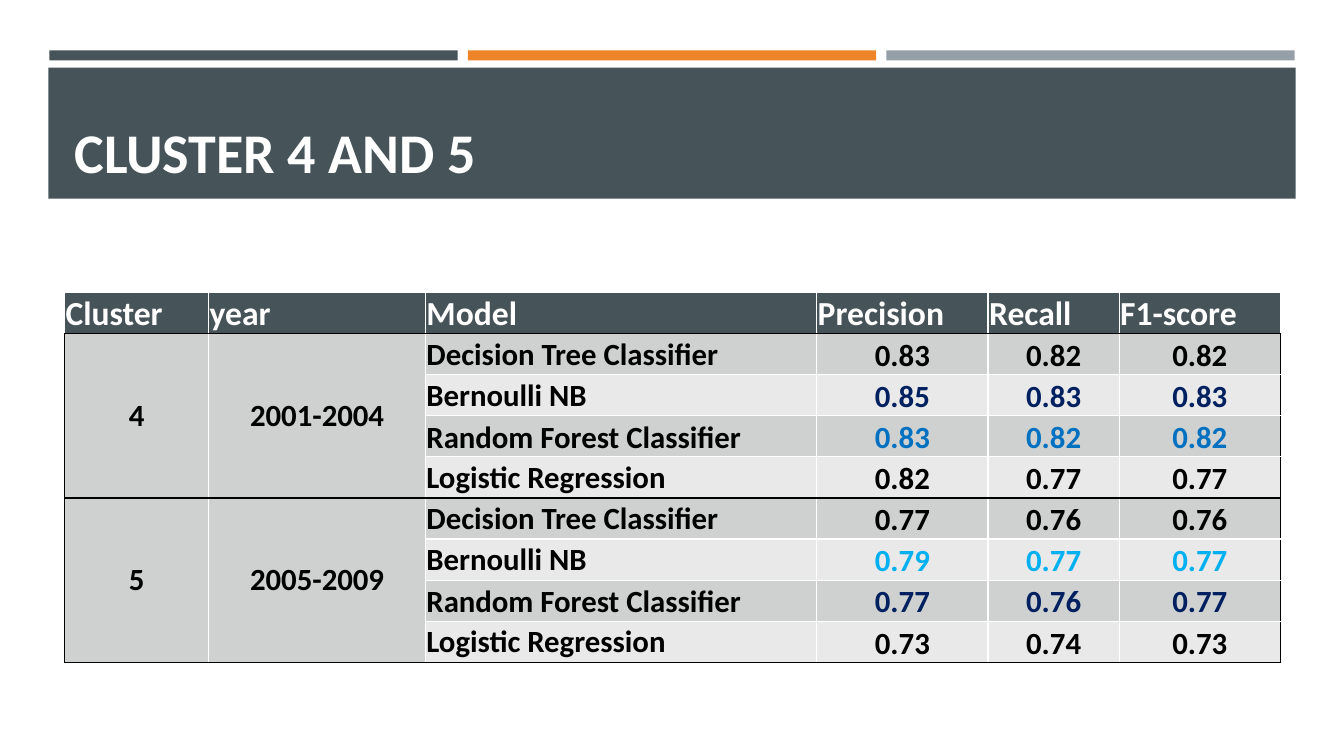
import pptx
import pptx.dml.color
import pptx.enum.shapes
import pptx.enum.text
import pptx.oxml
import pptx.util
from pptx.util import Inches

SLATE, ORANGE, GREY, WHITE, BLACK = "465359", "ED8428", "969FA7", "FFFFFF", "000000"
NAVY, BLUE, SKY = "002060", "0070C0", "00B0F0"
BAND_DARK, BAND_LIGHT = "CFD1D1", "E9E9EA"
ANCHOR = pptx.enum.text.MSO_ANCHOR
CENTER = pptx.enum.text.PP_ALIGN.CENTER


def paint(target, color):
    """Give a fill or a font a solid colour."""
    if hasattr(target, "solid"):
        target.solid()
        target.fore_color.rgb = pptx.dml.color.RGBColor.from_string(color)
    else:
        target.color.rgb = pptx.dml.color.RGBColor.from_string(color)


def write(frame, text, size, color):
    para = frame.paragraphs[0]
    para.text = text
    para.font.name = "Calibri"
    para.font.size = pptx.util.Pt(size)
    para.font.bold = True
    paint(para.font, color)
    return para


deck = pptx.Presentation()
deck.slide_width, deck.slide_height = Inches(13.33), Inches(7.5)
page = deck.slides.add_slide(deck.slide_layouts[6])

# Bars above the title, and the title band
bars = [(0.49 + 4.15 * i, 0.5, 4.05, 0.1, color)
        for i, color in enumerate((SLATE, ORANGE, GREY))]
for left, top, width, height, color in bars + [(0.48, 0.67, 12.37, 1.3, SLATE)]:
    bar = page.shapes.add_shape(pptx.enum.shapes.MSO_SHAPE.RECTANGLE, Inches(left),
                                Inches(top), Inches(width), Inches(height))
    bar.shadow.inherit = False
    paint(bar.fill, color)
    bar.line.fill.background()

title = page.shapes.add_textbox(Inches(0.64), Inches(0.77), Inches(12.06), Inches(1.11))
title.text_frame.word_wrap = True
title.text_frame.vertical_anchor = ANCHOR.BOTTOM
write(title.text_frame, "CLUSTER 4 AND 5", 40, WHITE)

# Scores: each model row ends with the colour of its figures
headers = ["Cluster", "year", "Model", "Precision", "Recall", "F1-score"]
models = ["Decision Tree Classifier", "Bernoulli NB",
          "Random Forest Classifier", "Logistic Regression"]
clusters = [
    ("4", "2001-2004", [("0.83", "0.82", "0.82", BLACK), ("0.85", "0.83", "0.83", NAVY),
                        ("0.83", "0.82", "0.82", BLUE), ("0.82", "0.77", "0.77", BLACK)]),
    ("5", "2005-2009", [("0.77", "0.76", "0.76", BLACK), ("0.79", "0.77", "0.77", SKY),
                        ("0.77", "0.76", "0.77", NAVY), ("0.73", "0.74", "0.73", BLACK)]),
]
column_widths = [1.43, 2.15, 3.88, 1.7, 1.3, 1.6]
row_count = 1 + len(models) * len(clusters)
table = page.shapes.add_table(row_count, len(headers), Inches(0.64), Inches(2.9),
                              Inches(12.06), Inches(3.67)).table
for column, width in zip(table.columns, column_widths):
    column.width = Inches(width)
for row in table.rows:
    row.height = Inches(3.67 / row_count)

for c, header in enumerate(headers):
    cell = table.cell(0, c)
    write(cell.text_frame, header, 24, WHITE)
    cell.vertical_anchor = ANCHOR.MIDDLE if header == "Precision" else ANCHOR.BOTTOM

for k, (number, years, scores) in enumerate(clusters):
    first = 1 + k * len(models)
    for c, text in enumerate((number, years)):
        cell = table.cell(first, c)
        cell.merge(table.cell(first + len(models) - 1, c))
        write(cell.text_frame, text, 22, BLACK).alignment = CENTER
        cell.vertical_anchor = ANCHOR.MIDDLE
    for r, (model, (*figures, color)) in enumerate(zip(models, scores), first):
        cell = table.cell(r, 2)
        write(cell.text_frame, model, 22, BLACK)
        cell.vertical_anchor = ANCHOR.BOTTOM if model.startswith("Random") else ANCHOR.MIDDLE
        for c, figure in enumerate(figures, 3):
            cell = table.cell(r, c)
            write(cell.text_frame, figure, 22, color).alignment = CENTER
            cell.vertical_anchor = ANCHOR.BOTTOM

# Fills, margins and borders: black around each cluster, white inside
for r in range(row_count):
    for c in range(len(headers)):
        cell = table.cell(r, c)
        in_span = r > 0 and c < 2
        if r == 0:
            paint(cell.fill, SLATE)
        else:
            paint(cell.fill, BAND_DARK if in_span or r % 2 else BAND_LIGHT)
        if not in_span:
            cell.margin_left = cell.margin_right = cell.margin_top = Inches(0.01)
            cell.margin_bottom = 0
        else:
            cell.margin_left = cell.margin_right = Inches(0.08)
            cell.margin_top = cell.margin_bottom = Inches(0.04)
        black_sides = {
            "lnL": r > 0 and c == 0,
            "lnR": r > 0 and c == len(headers) - 1,
            "lnT": r % len(models) == 1,
            "lnB": r % len(models) == 0 or cell.is_merge_origin,
        }
        properties = cell._tc.get_or_add_tcPr()
        for place, (side, black) in enumerate(black_sides.items()):
            properties.insert(place, pptx.oxml.parse_xml(
                f'<a:{side} xmlns:a="http://schemas.openxmlformats.org/drawingml/2006/main" '
                f'w="12700"><a:solidFill><a:srgbClr val="{BLACK if black else WHITE}"/>'
                f'</a:solidFill></a:{side}>'))

deck.save("out.pptx")
